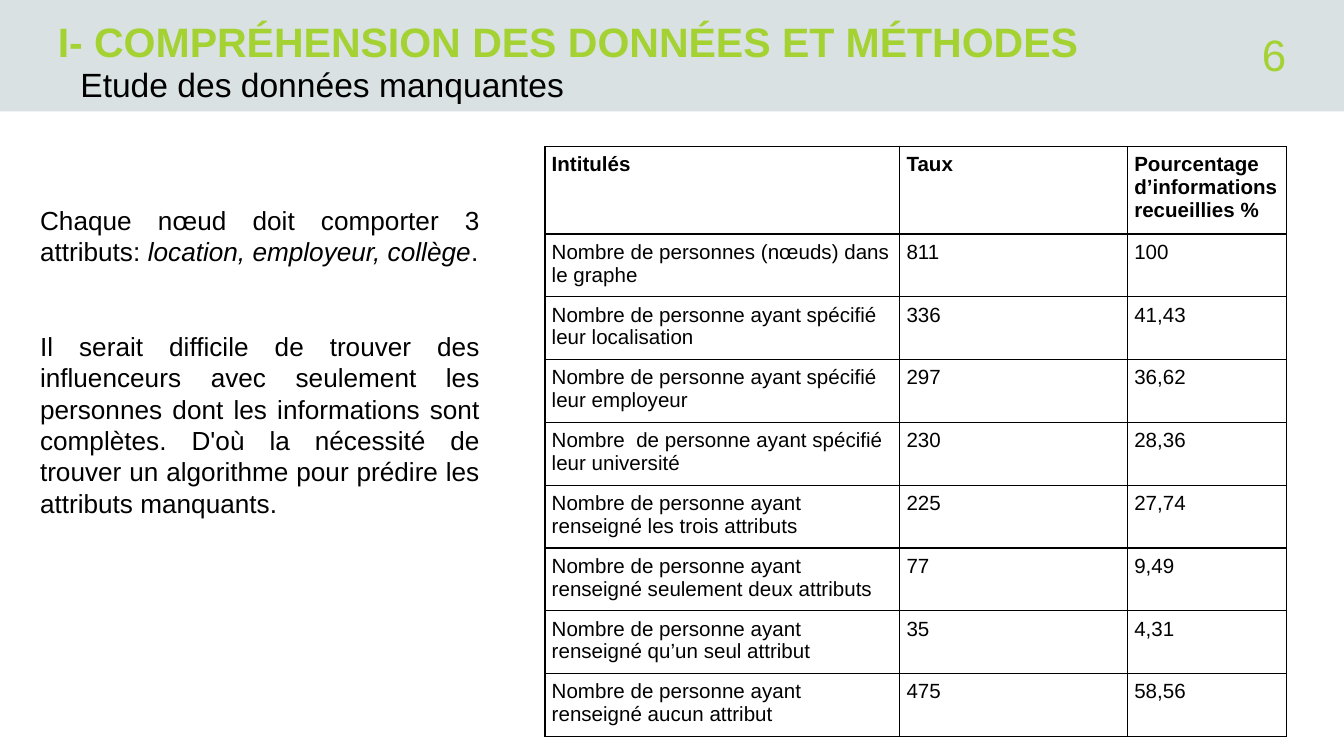
from lxml.etree import SubElement
from pptx import Presentation
from pptx.dml.color import RGBColor
from pptx.enum.shapes import MSO_SHAPE
from pptx.enum.text import MSO_ANCHOR, PP_ALIGN
from pptx.oxml.ns import qn
from pptx.util import Inches, Pt

COLORS = {"accent": "A4D233", "band": "D9E1E2", "ink": "000000"}
FONT = "Arial"
CELL = 0.1  # grid step in inches: 100 columns across the slide
COLUMNS, ROWS = 100, 56.25


def grid(steps):
    return Inches(steps * CELL)


def rgb(name):
    return RGBColor.from_string(COLORS[name])


class SlideBuilder:
    def __init__(self, deck):
        self.slide = deck.slides.add_slide(deck.slide_layouts[5])

    def style(self, font, size, color="ink", bold=False):
        font.name, font.size, font.bold = FONT, Pt(size), bold
        font.color.rgb = rgb(color)

    def frame(self, shape, anchor=MSO_ANCHOR.TOP, inset=(1, 0.5), wrap=True):
        frame = shape.text_frame
        frame.word_wrap, frame.vertical_anchor = wrap, anchor
        frame.margin_left = frame.margin_right = grid(inset[0])
        frame.margin_top = frame.margin_bottom = grid(inset[1])
        return frame

    def band(self, height):
        band = self.slide.shapes.add_shape(
            MSO_SHAPE.RECTANGLE, 0, 0, grid(COLUMNS), grid(height))
        band.shadow.inherit = False
        band.fill.solid()
        band.fill.fore_color.rgb = rgb("band")
        band.line.fill.background()
        # Behind the title
        band.element.getparent().insert(2, band.element)

    def title(self, text, left, top, width, height):
        title = self.slide.shapes.title
        title.left, title.top, title.width, title.height = map(
            grid, (left, top, width, height))
        frame = self.frame(title, MSO_ANCHOR.BOTTOM, (0, 0))
        frame.text = text
        heading = frame.paragraphs[0]
        heading.alignment = PP_ALIGN.LEFT
        self.style(heading.font, 22, "accent", bold=True)

    def text(self, paragraphs, box, size, color="ink", align=PP_ALIGN.LEFT,
             gap=0, **layout):
        """Each paragraph is a list of (text, italic) runs."""
        frame = self.frame(self.slide.shapes.add_textbox(*map(grid, box)), **layout)
        for index, runs in enumerate(paragraphs):
            paragraph = frame.add_paragraph() if index else frame.paragraphs[0]
            paragraph.alignment = align
            self.style(paragraph.font, size, color)
            if index:
                paragraph.space_before = Pt(gap)
            for words, italic in runs:
                run = paragraph.add_run()
                run.text = words
                if italic:
                    run.font.italic = True

    def border(self, cell):
        properties = cell._tc.get_or_add_tcPr()
        for position, side in enumerate(("lnL", "lnR", "lnT", "lnB")):
            line = SubElement(properties, qn(f"a:{side}"), w=str(Pt(0.75)))
            fill = SubElement(line, qn("a:solidFill"))
            SubElement(fill, qn("a:srgbClr"), val=COLORS["ink"])
            properties.insert(position, line)

    def table(self, records, left, top, widths, heights):
        table = self.slide.shapes.add_table(
            len(records), len(widths), grid(left), grid(top),
            grid(sum(widths)), grid(sum(heights))).table
        table.first_row = table.horz_banding = False
        for column, width in zip(table.columns, widths):
            column.width = grid(width)
        for index, (row, height, record) in enumerate(
                zip(table.rows, heights, records)):
            row.height = grid(height)
            for cell, value in zip(row.cells, record):
                cell.text = value
                cell.margin_left = cell.margin_right = grid(0.5)
                cell.margin_top = cell.margin_bottom = grid(0.5)
                # Row heights follow the size of the run
                label = cell.text_frame.paragraphs[0].runs[0]
                self.style(label.font, 11, bold=index == 0)
                cell.fill.background()
                self.border(cell)


ATTRIBUTE_RATES = [
    ("Intitulés", "Taux", "Pourcentage d’informations recueillies %"),
    ("Nombre de personnes (nœuds) dans le graphe", "811", "100"),
    ("Nombre de personne ayant spécifié leur localisation", "336", "41,43"),
    ("Nombre de personne ayant spécifié leur employeur", "297", "36,62"),
    ("Nombre  de personne ayant spécifié leur université", "230", "28,36"),
    ("Nombre de personne ayant renseigné les trois attributs", "225", "27,74"),
    ("Nombre de personne ayant renseigné seulement deux attributs", "77", "9,49"),
    ("Nombre de personne ayant renseigné qu’un seul attribut", "35", "4,31"),
    ("Nombre de personne ayant renseigné aucun attribut", "475", "58,56"),
]
EXPLANATION = [
    [("Chaque nœud doit comporter 3 attributs: ", False),
     ("location, employeur, collège", True), (".", False)],
    [("Il serait difficile de trouver des influenceurs avec seulement les "
      "personnes dont les informations sont complètes. D'où la nécessité de "
      "trouver un algorithme pour prédire les attributs manquants.", False)],
]


def main():
    deck = Presentation()
    deck.slide_width, deck.slide_height = grid(COLUMNS), grid(ROWS)
    page = SlideBuilder(deck)

    # Header: band, page number, title and subtitle
    page.band(8.3)
    page.text([[("6", False)]], (83.4, 2.35, 12.3, 3.3), 23.5, "accent",
              PP_ALIGN.RIGHT, anchor=MSO_ANCHOR.MIDDLE, inset=(0, 0))
    page.title("I- COMPRÉHENSION DES DONNÉES ET MÉTHODES", 4.3, 0, 79.1, 4.9)
    page.text([[("Etude des données manquantes", False)]],
              (5, 4.3, 38.3, 4), 18, wrap=False)

    # Rates of known attributes
    page.table(ATTRIBUTE_RATES, 40.55, 10.9, (26.4, 16.95, 11.85),
               [6.2, 3.4] + [4.55] * 7)

    # Explanation on the left
    page.text(EXPLANATION, (2, 14.7, 34.7, 24.6), 14, align=PP_ALIGN.JUSTIFY,
              gap=34)

    deck.save("out.pptx")


if __name__ == "__main__":
    main()
